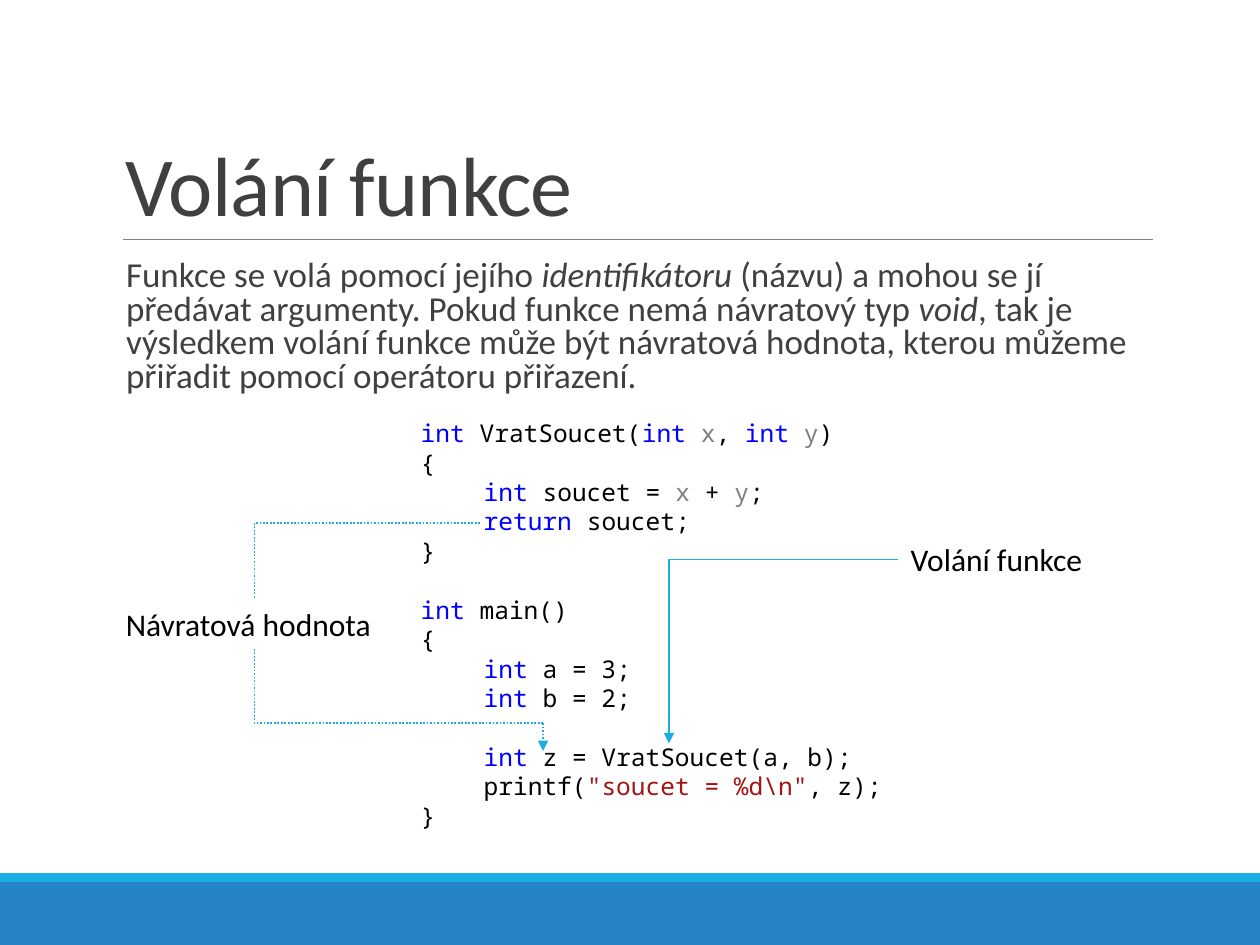
from lxml import etree
from pptx import Presentation
from pptx import util as u
from pptx.dml.color import RGBColor
from pptx.enum import dml, shapes, text
from pptx.oxml.ns import qn

BLUE = RGBColor(0x26, 0x83, 0xC6)
CYAN = RGBColor(0x1C, 0xAD, 0xE4)
GREY = RGBColor(0x80, 0x80, 0x80)
DARK = RGBColor(0x40, 0x40, 0x40)
BLACK = RGBColor(0, 0, 0)
KEYWORD = RGBColor(0, 0, 0xFF)
STRING = RGBColor(0xA3, 0x15, 0x15)

deck = Presentation()
deck.slide_width, deck.slide_height = u.Inches(10), u.Inches(7.5)
page = deck.slides.add_slide(deck.slide_layouts[6])
# The page is a grid of 100 columns by 75 rows.
COL, ROW = deck.slide_width / 100, deck.slide_height / 75
LEFT, RIGHT = 9, 91.5


def add_text(left, top, width, height, anchor=text.MSO_ANCHOR.TOP):
    """Add an empty wrapping text box, placed in grid units."""
    box = page.shapes.add_textbox(int(left * COL), int(top * ROW),
                                  int(width * COL), int(height * ROW))
    box.text_frame.word_wrap = True
    box.text_frame.vertical_anchor = anchor
    return box.text_frame


def add_line(kind, start, end, color=CYAN, width=1, dotted=False, arrow=False):
    """Join two grid points; an elbow runs across first, then up or down."""
    line = page.shapes.add_connector(
        kind, int(start[0] * COL), int(start[1] * ROW),
        int(end[0] * COL), int(end[1] * ROW))
    line.line.color.rgb = color
    line.line.width = u.Pt(width)
    if dotted:
        line.line.dash_style = dml.MSO_LINE.ROUND_DOT
    properties = line._element.spPr
    if arrow:
        etree.SubElement(properties.find(qn("a:ln")), qn("a:tailEnd"), type="triangle")
    etree.SubElement(properties, qn("a:effectLst"))
    if kind == shapes.MSO_CONNECTOR.ELBOW:
        guides = properties.find(qn("a:prstGeom")).get_or_add_avLst()
        etree.SubElement(guides, qn("a:gd"), name="adj1", fmla="val 100000")


# Footer bands and title rule
for top, height, color in ((70, 5, BLUE), (69.3, 0.7, CYAN)):
    band = page.shapes.add_shape(shapes.MSO_SHAPE.RECTANGLE, 0, int(top * ROW),
                                 deck.slide_width, int(height * ROW))
    band.shadow.inherit = False
    band.fill.solid()
    band.fill.fore_color.rgb = color
    band.line.fill.background()
add_line(shapes.MSO_CONNECTOR.STRAIGHT, (9.8, 19), (RIGHT, 19), GREY, 0.5)

# Title
para = add_text(LEFT, 3.1, RIGHT - LEFT, 15.9, text.MSO_ANCHOR.BOTTOM).paragraphs[0]
span = para.add_run()
span.text = "Volání funkce"
span._r.get_or_add_rPr().set("spc", "-50")
para.line_spacing = 0.85
para.font.name, para.font.size = "Calibri", u.Pt(48)
para.font.color.rgb = DARK

# Introduction, with every second part in italics
INTRO = ("Funkce se volá pomocí jejího ", "identifikátoru",
         " (názvu) a mohou se jí předávat argumenty. Pokud funkce nemá návratový typ ",
         "void",
         ", tak je výsledkem volání funkce může být návratová hodnota, "
         "kterou můžeme přiřadit pomocí operátoru přiřazení.")
frame = add_text(LEFT + 1, 20.2, RIGHT - LEFT - 1, 12.5)
frame.margin_left = frame.margin_right = 0
para = frame.paragraphs[0]
para.line_spacing = 0.8
para.font.name, para.font.size = "Calibri", u.Pt(20)
para.font.color.rgb = DARK
for index, part in enumerate(INTRO):
    span = para.add_run()
    span.text = part
    if index % 2:
        span.font.italic = True

# Code: indent level, empty lines above, and parts split at "|"
CODE = (
    (0, 0, "int| VratSoucet(|int| |x|, |int| |y|)"),
    (0, 0, "{"),
    (1, 0, "int| soucet = |x| + |y|;"),
    (1, 0, "return| soucet;"),
    (0, 0, "}"),
    (0, 1, "int| main()"),
    (0, 0, "{"),
    (1, 0, "int| a = 3;"),
    (1, 0, "int| b = 2;"),
    (1, 1, "int| z = VratSoucet(a, b);"),
    (1, 0, r'printf(|"soucet = %d\n"|, z);'),
    (0, 0, "}"),
)
PART_COLORS = {"int": KEYWORD, "return": KEYWORD, "x": GREY, "y": GREY,
               r'"soucet = %d\n"': STRING}
LINE_HEIGHT = 16.85
frame = add_text(32.4, 32.7, 54.5, 34)
for index, (level, gap, line) in enumerate(CODE):
    para = frame.add_paragraph() if index else frame.paragraphs[0]
    para._p.get_or_add_pPr().set("marL", str(int(level * 5 * COL)))
    if gap:
        para.space_before = u.Pt(gap * LINE_HEIGHT)
    para.font.name, para.font.size = "Noto Sans Mono", u.Pt(14)
    for part in line.split("|"):
        span = para.add_run()
        span.text = part
        span.font.color.rgb = PART_COLORS.get(part, BLACK)

# Labels
for left, top, width, label in ((71.3, 42.4, 16.6, "Volání funkce"),
                                (LEFT, 47.5, 22.3, "Návratová hodnota")):
    para = add_text(left, top, width, 4).paragraphs[0]
    para.text = label
    para.font.name, para.font.size = "Calibri", u.Pt(18)
    para.font.color.rgb = BLACK

# Call arrow, then the path of the returned value around its label
ELBOW = shapes.MSO_CONNECTOR.ELBOW
add_line(ELBOW, (71.3, 44.4), (53.1, 59), arrow=True)
add_line(ELBOW, (38.1, 41.5), (20.2, 47.5), dotted=True)
add_line(ELBOW, (43.1, 57.4), (20.2, 51.5), dotted=True)
add_line(shapes.MSO_CONNECTOR.STRAIGHT, (43.1, 57.4), (43.1, 59.6),
         dotted=True, arrow=True)

deck.save("out.pptx")
